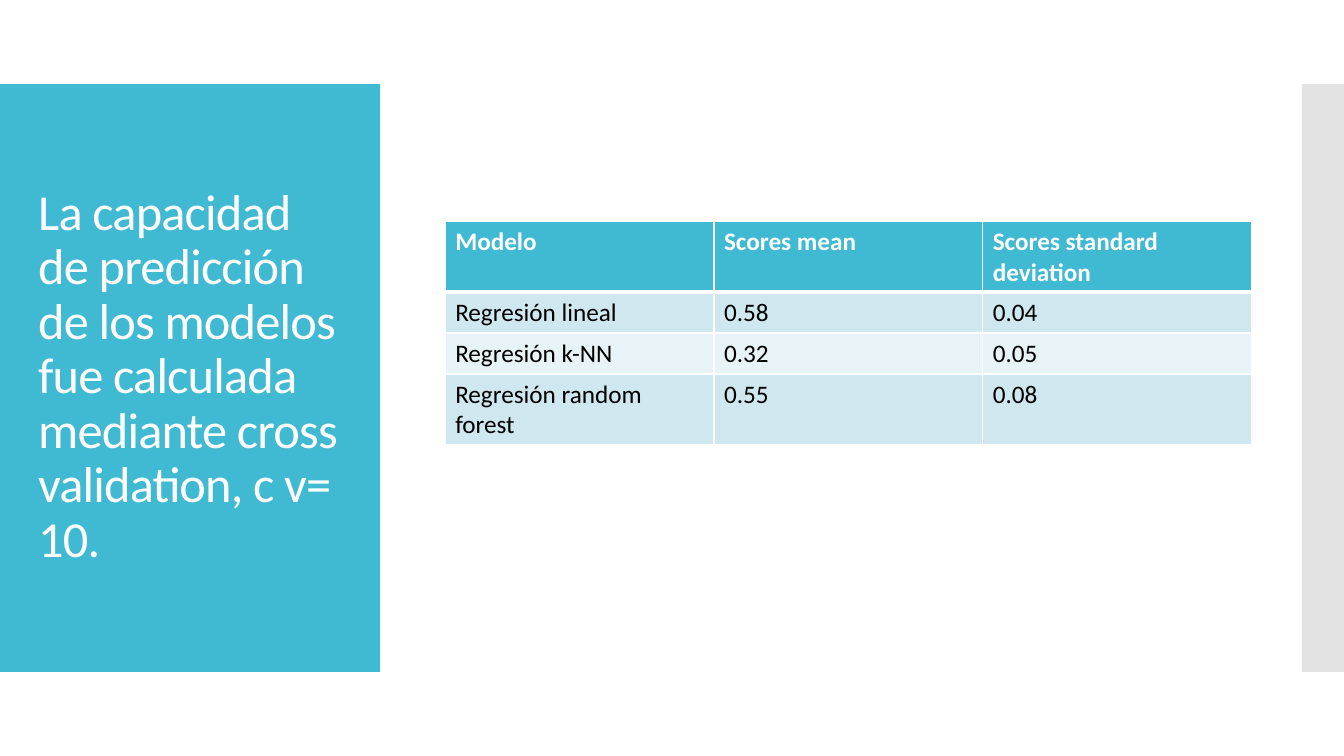
from lxml import etree
from pptx import Presentation
from pptx.dml.color import RGBColor
from pptx.enum.shapes import MSO_SHAPE
from pptx.enum.text import MSO_ANCHOR
from pptx.oxml import parse_xml
from pptx.oxml.ns import nsdecls, qn
from pptx.util import Pt

PX = 9525
FONT = "Calibri"
COLORS = {
    "accent": "40BAD2",
    "edge": "C8C8C8",
    "white": "FFFFFF",
    "black": "000000",
    "band_dark": "CFE7EE",
    "band_light": "E8F3F7",
}
TITLE = ("La capacidad de predicción de los modelos fue calculada "
         "mediante cross validation, c v= 10.")
SCORES = [
    ("Modelo", "Scores mean", "Scores standard deviation"),
    ("Regresión lineal", "0.58", "0.04"),
    ("Regresión k-NN", "0.32", "0.05"),
    ("Regresión random forest", "0.55", "0.08"),
]
ROW_HEIGHTS = [67, 39, 39, 67]


def px(*lengths):
    return [n * PX for n in lengths]


def rgb(name):
    return RGBColor.from_string(COLORS[name])


def style_run(r, size, color, bold=False):
    r.font.name = FONT
    r.font.size = Pt(size)
    r.font.bold = bold
    r.font.color.rgb = rgb(color)


def add_panel(s, box, color, opacity=100):
    sp = s.shapes.add_shape(MSO_SHAPE.RECTANGLE, *px(*box))
    sp.shadow.inherit = False
    sp.fill.solid()
    sp.fill.fore_color.rgb = rgb(color)
    sp.line.fill.background()
    if opacity < 100:
        clr = sp.fill._xPr.find(qn("a:solidFill"))[0]
        etree.SubElement(clr, qn("a:alpha"), val=str(opacity * 1000))


def add_title_panel(s, x, y, w, h):
    add_panel(s, (x, y, w, h), "accent")
    sp = s.shapes.add_textbox(*px(x + 27, y + 38, w - 53, h - 77))
    tf = sp.text_frame
    tf.word_wrap = True
    tf.vertical_anchor = MSO_ANCHOR.MIDDLE
    tf.text = TITLE
    p = tf.paragraphs[0]
    p.line_spacing = 0.9
    r = p.runs[0]
    style_run(r, 36, "white")
    r.font._element.set("spc", "-60")


def set_borders(cell, top, bottom):
    """Draw white borders; top and bottom are widths in points."""
    tc_pr = cell._tc.get_or_add_tcPr()
    widths = {"lnL": 1, "lnR": 1, "lnT": top, "lnB": bottom}
    for i, (side, width) in enumerate(widths.items()):
        tc_pr.insert(i, parse_xml(
            f'<a:{side} {nsdecls("a")} w="{Pt(width)}"><a:solidFill>'
            f'<a:srgbClr val="{COLORS["white"]}"/></a:solidFill></a:{side}>'))


def add_score_table(s, x, y, w):
    n_rows, n_cols = len(SCORES), len(SCORES[0])
    frame = s.shapes.add_table(n_rows, n_cols, *px(x, y, w, sum(ROW_HEIGHTS)))
    table = frame.table
    table.horz_banding = False
    for col in table.columns:
        col.width = w // n_cols * PX
    for i, texts in enumerate(SCORES):
        table.rows[i].height = ROW_HEIGHTS[i] * PX
        header = i == 0
        fill = "accent" if header else "band_dark" if i % 2 else "band_light"
        for j, text in enumerate(texts):
            cell = table.cell(i, j)
            cell.text_frame.text = text
            style_run(cell.text_frame.paragraphs[0].runs[0], 18,
                      "white" if header else "black", header)
            cell.fill.solid()
            cell.fill.fore_color.rgb = rgb(fill)
            set_borders(cell, 3 if i == 1 else 1, 3 if header else 1)


def build_scores_slide(prs):
    s = prs.slides.add_slide(prs.slide_layouts[6])
    add_title_panel(s, 0, 80, 362, 560)
    add_panel(s, (1240, 80, 40, 560), "edge", 50)
    add_score_table(s, 424, 211, 768)


def main():
    prs = Presentation()
    prs.slide_width, prs.slide_height = px(1280, 720)
    build_scores_slide(prs)
    prs.save("out.pptx")


if __name__ == "__main__":
    main()
